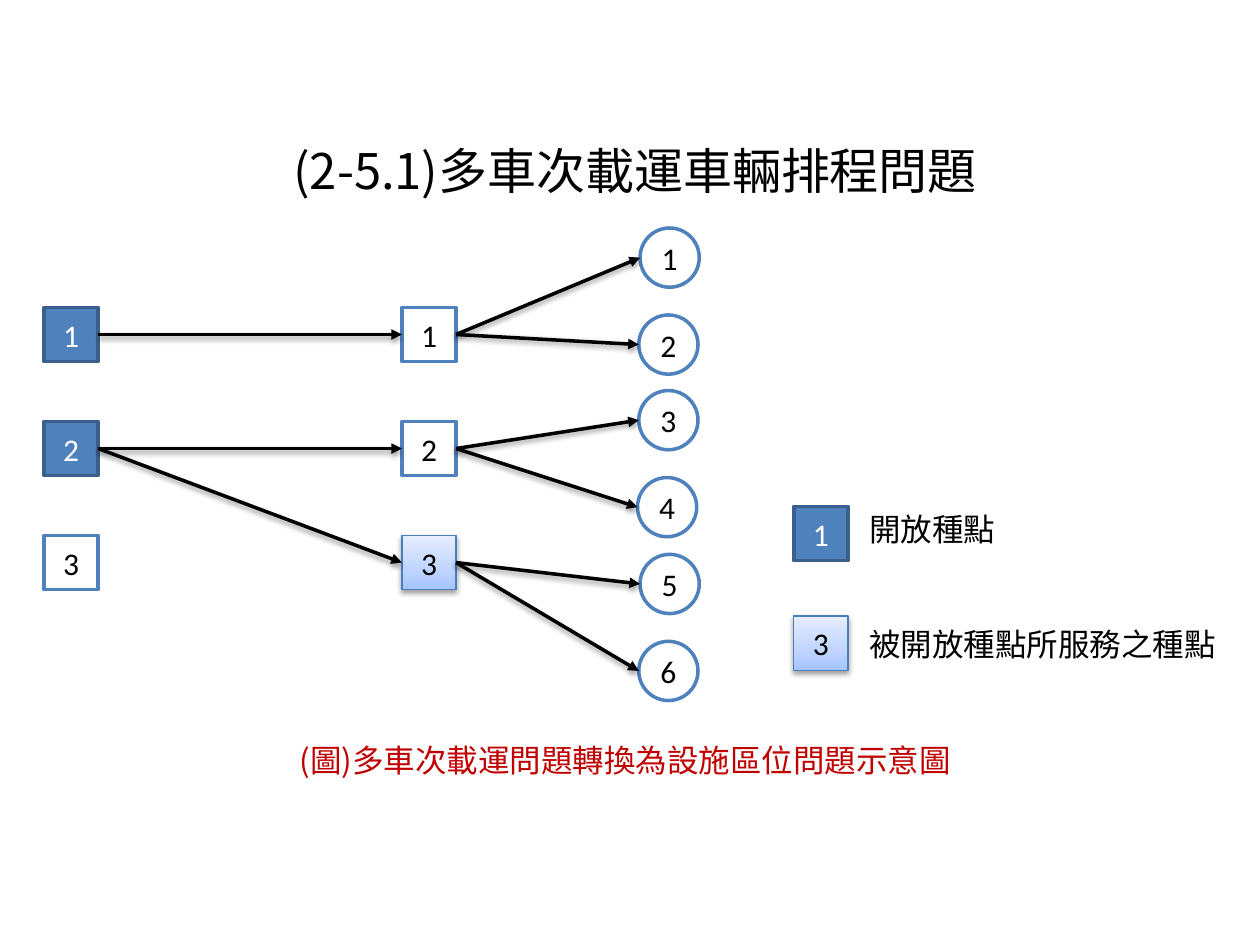
import pptx
import pptx.dml.color
import pptx.enum.shapes
import pptx.enum.text
import pptx.oxml
import pptx.oxml.ns
import pptx.util
from pptx.util import Inches

RGBColor = pptx.dml.color.RGBColor
BLUE = RGBColor(0x4F, 0x81, 0xBD)
DARK_BLUE = RGBColor(0x3A, 0x5F, 0x8C)
SERVED_EDGE = RGBColor(0x4B, 0x7E, 0xBC)
SERVED_STOPS = (
    (0, RGBColor(0xA4, 0xC4, 0xFF)),
    (35, RGBColor(0xBF, 0xD4, 0xFF)),
    (100, RGBColor(0xE6, 0xEE, 0xFF)),
)
WHITE = RGBColor(0xFF, 0xFF, 0xFF)
BLACK = RGBColor(0, 0, 0)
RED = RGBColor(0xC0, 0, 0)

LATIN_FONT = "Calibri"
CHINESE_FONT = "Noto Sans CJK SC"
ALIGN = pptx.enum.text.PP_ALIGN
ANCHOR = pptx.enum.text.MSO_ANCHOR
SHAPE = pptx.enum.shapes.MSO_SHAPE
NAMESPACE = pptx.oxml.ns.nsdecls("a")

NODE_SIZE = 0.43
CIRCLE_SIZE = 0.47
# Fill, edge, edge width and text colour of each kind of node
NODE_STYLES = {
    "open": (BLUE, DARK_BLUE, 2, WHITE),
    "plain": (WHITE, BLUE, 2, BLACK),
    "served": (None, SERVED_EDGE, 0.75, BLACK),
}


def write_text(frame, text, *, font=CHINESE_FONT, size=18, color=BLACK,
               align=ALIGN.LEFT, anchor=ANCHOR.TOP, wrap=True):
    frame.word_wrap = wrap
    frame.vertical_anchor = anchor
    para = frame.paragraphs[0]
    para.alignment = align
    span = para.add_run()
    span.text = text
    span.font.name = font
    span.font.size = pptx.util.Pt(size)
    span.font.color.rgb = color
    if font == CHINESE_FONT:
        span.font._element.append(
            pptx.oxml.parse_xml(f'<a:ea {NAMESPACE} typeface="{font}"/>'))


def add_soft_shadow(properties):
    for effects in properties.findall(pptx.oxml.ns.qn("a:effectLst")):
        properties.remove(effects)
    properties.append(pptx.oxml.parse_xml(
        f'<a:effectLst {NAMESPACE}>'
        '<a:outerShdw blurRad="40000" dist="20000" dir="5400000" rotWithShape="0">'
        '<a:srgbClr val="000000"><a:alpha val="38000"/></a:srgbClr>'
        '</a:outerShdw></a:effectLst>'))


def add_served_gradient(properties):
    stops = "".join(
        f'<a:gs pos="{place * 1000}"><a:srgbClr val="{color}"/></a:gs>'
        for place, color in SERVED_STOPS)
    outline = properties.find(pptx.oxml.ns.qn("a:prstGeom"))
    outline.addnext(pptx.oxml.parse_xml(
        f'<a:gradFill {NAMESPACE} rotWithShape="1"><a:gsLst>{stops}</a:gsLst>'
        '<a:lin ang="16200000" scaled="0"/></a:gradFill>'))


def add_node(page, left, top, label, style="plain", kind=SHAPE.RECTANGLE, size=NODE_SIZE):
    fill, edge, edge_width, text_color = NODE_STYLES[style]
    node = page.shapes.add_shape(kind, Inches(left), Inches(top), Inches(size), Inches(size))
    node.shadow.inherit = False
    node.line.color.rgb = edge
    node.line.width = pptx.util.Pt(edge_width)
    if fill is None:
        add_served_gradient(node._element.spPr)
        add_soft_shadow(node._element.spPr)
    else:
        node.fill.solid()
        node.fill.fore_color.rgb = fill
    write_text(node.text_frame, str(label), font=LATIN_FONT, color=text_color,
               align=ALIGN.CENTER, anchor=ANCHOR.MIDDLE)
    return node


def add_arrow(page, source, target, join_target):
    arrow = page.shapes.add_connector(
        pptx.enum.shapes.MSO_CONNECTOR.STRAIGHT,
        source.left + source.width, source.top + source.height // 2,
        target.left, target.top + target.height // 2)
    arrow.begin_connect(source, 3)
    if join_target:
        arrow.end_connect(target, 1)
    arrow.line.color.rgb = BLACK
    arrow.line.width = pptx.util.Pt(2)
    arrow.line._get_or_add_ln().append(
        pptx.oxml.parse_xml(f'<a:tailEnd {NAMESPACE} type="triangle"/>'))
    add_soft_shadow(arrow._element.spPr)


def add_text_box(page, box, text, **style):
    text_box = page.shapes.add_textbox(*map(Inches, box))
    write_text(text_box.text_frame, text, **style)


def add_title(page, box, text):
    title = page.shapes.title
    title.left, title.top, title.width, title.height = map(Inches, box)
    write_text(title.text_frame, text, size=28, align=ALIGN.CENTER, anchor=ANCHOR.MIDDLE)


def add_network(page, box):
    left, top, width, height = box
    row_step = 0.905

    # Two columns of seed points
    def add_column(column_left, styles):
        return [add_node(page, column_left, top + 0.63 + row * row_step, row + 1, style)
                for row, style in enumerate(styles)]

    candidates = add_column(left, ("open", "open", "plain"))
    seeds = add_column(left + 2.84, ("plain", "plain", "served"))

    # Customer circles, two for each seed
    circle_left = left + width - CIRCLE_SIZE
    places = ((0, 0), (-0.01, 0.69), (-0.01, 1.29), (-0.02, 1.98), (0, 2.59), (-0.01, 3.28))
    customers = [add_node(page, circle_left + shift, top + drop, number,
                          kind=SHAPE.OVAL, size=CIRCLE_SIZE)
                 for number, (shift, drop) in enumerate(places, 1)]

    # Arrows from candidates to seeds, then from seeds to customers
    for candidate, seed in ((0, 0), (1, 1), (1, 2)):
        add_arrow(page, candidates[candidate], seeds[seed], True)
    for number, customer in enumerate(customers):
        add_arrow(page, seeds[number // 2], customer, False)


def add_legend(page, box):
    left, top, width, height = box
    entries = ((0, 0.02, 1, "open", "開放種點", 1.21),
               (0.91, 0.89, 3, "served", "被開放種點所服務之種點", 2.98))
    for text_drop, node_drop, label, style, text, text_width in entries:
        add_node(page, left, top + node_drop, label, style)
        add_text_box(page, (left + 0.5, top + text_drop, text_width, 0.4), text, wrap=False)


def main():
    deck = pptx.Presentation()
    deck.slide_width, deck.slide_height = Inches(10), Inches(7.5)
    page = deck.slides.add_slide(deck.slide_layouts[5])
    add_title(page, (0.04, 0.6, 10, 1.5), "(2-5.1)多車次載運車輛排程問題")
    add_network(page, (0.35, 1.81, 5.2, 3.75))
    add_legend(page, (6.3, 4, 3.48, 1.32))
    add_text_box(page, (2.28, 5.83, 5.5, 0.4),
                 "(圖)多車次載運問題轉換為設施區位問題示意圖", color=RED)
    deck.save("out.pptx")


if __name__ == "__main__":
    main()
